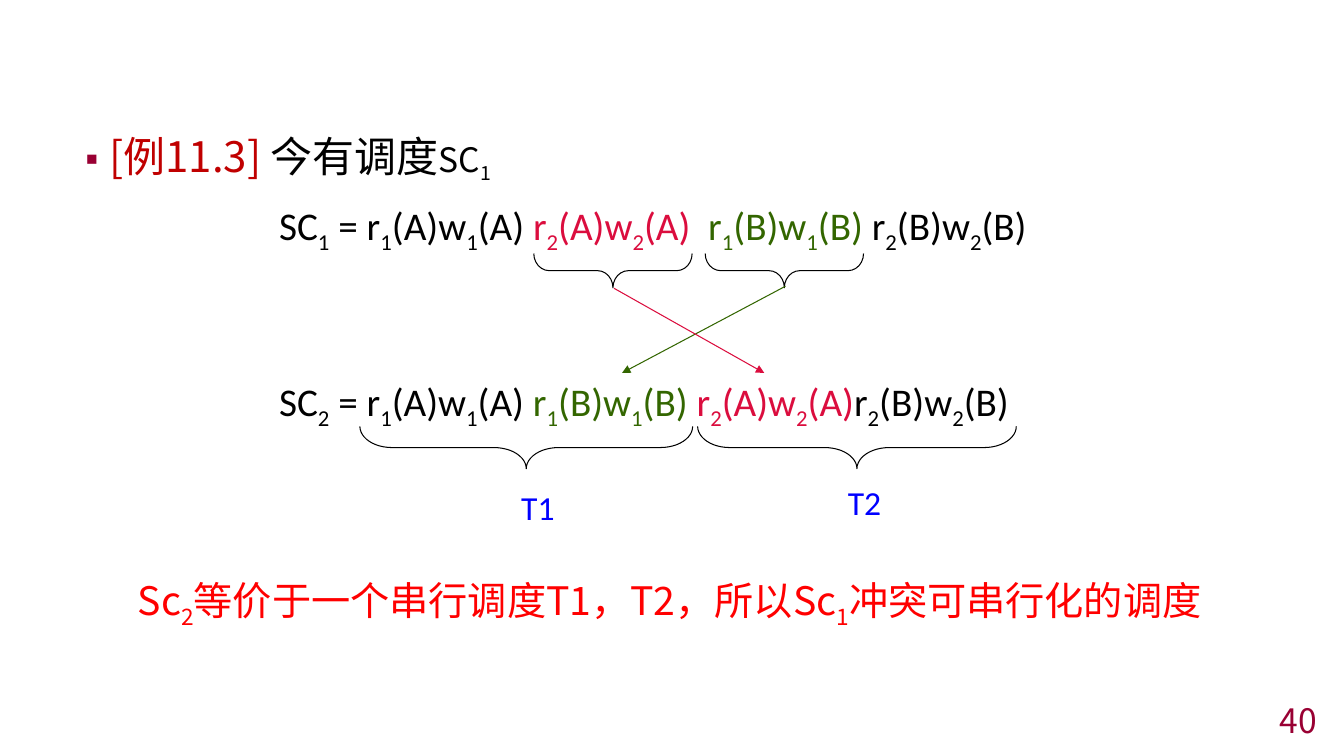
from lxml import etree
from pptx import Presentation
from pptx.dml.color import RGBColor
from pptx.enum.shapes import MSO_CONNECTOR, MSO_SHAPE
from pptx.enum.text import MSO_ANCHOR, PP_ALIGN
from pptx.oxml.ns import qn
from pptx.util import Inches, Pt

LINE = MSO_CONNECTOR.STRAIGHT
BRACE = MSO_SHAPE.LEFT_BRACE
LEFT, CENTER, RIGHT = PP_ALIGN.LEFT, PP_ALIGN.CENTER, PP_ALIGN.RIGHT
MIDDLE = MSO_ANCHOR.MIDDLE
LATIN, CJK = "Calibri", "Noto Sans CJK SC"
BLACK, PINK, GREEN = "000000", "DB0D3E", "336600"
BLUE, RED, WINE = "0000FF", "FF0000", "990033"


def color(code):
    return RGBColor.from_string(code)


def write(para, parts, face):
    """Add (text, size, colour) parts; the character after "_" is a subscript."""
    for text, size, code in parts:
        head, *rest = text.split("_")
        bits = [(head, False)]
        for bit in rest:
            bits += [(bit[0], True), (bit[1:], False)]
        for bit, low in bits:
            if not bit:
                continue
            run = para.add_run()
            run.text = bit
            run.font.size = Pt(size)
            run.font.color.rgb = color(code)
            run.font.name = face
            props = run.font._element
            etree.SubElement(props, qn("a:ea")).set("typeface", CJK)
            if low:
                props.set("baseline", "-25000")


deck = Presentation()
deck.slide_width, deck.slide_height = Inches(13.33), Inches(7.5)
slide = deck.slides.add_slide(deck.slide_layouts[1])
shapes = slide.shapes
title = shapes.title._element
title.getparent().remove(title)

# Heading bullet
body = slide.placeholders[1]
body.left, body.top = Inches(0.65), Inches(1.17)
body.width, body.height = Inches(12.04), Inches(5.98)
para = body.text_frame.paragraphs[0]
para.line_spacing = 1.14
para.space_before = Pt(0)
props = para._p.get_or_add_pPr()
props.set("marL", str(Inches(0.29)))
props.set("indent", str(-Inches(0.29)))
tint = etree.SubElement(props, qn("a:buClr"))
etree.SubElement(tint, qn("a:srgbClr")).set("val", WINE)
etree.SubElement(props, qn("a:buSzPct")).set("val", "80000")
etree.SubElement(props, qn("a:buFont")).set("typeface", CJK)
etree.SubElement(props, qn("a:buChar")).set("char", "▪")
write(para, [("[例11.3] ", 30, "C00000"), ("今有调度", 30, BLACK),
             ("SC_1", 24, BLACK)], CJK)

# Schedules, transaction labels, conclusion and page number
first = [("SC_1 = r_1(A)w_1(A) ", 28, BLACK), ("r_2(A)w_2(A)  ", 28, PINK),
         ("r_1(B)w_1(B) ", 28, GREEN), ("r_2(B)w_2(B)", 28, BLACK)]
second = [("SC_2 = r_1(A)w_1(A) ", 28, BLACK), ("r_1(B)w_1(B) ", 28, GREEN),
          ("r_2(A)w_2(A)", 28, PINK), ("r_2(B)w_2(B)", 28, BLACK)]
end = [("Sc_2等价于一个串行调度T1，T2，所以Sc_1冲突可串行化的调度", 28, RED)]
texts = [
    (2.67, 1.95, 7.79, 0.57, first, LATIN, LEFT, 1, False),
    (2.67, 3.7, 7.66, 0.53, second, LATIN, LEFT, 0.9, False),
    (4.5, 4.78, 1.67, 0.5, [("T1", 24, BLUE)], LATIN, CENTER, 1, True),
    (7.74, 4.73, 1.67, 0.5, [("T2", 24, BLUE)], LATIN, CENTER, 1, True),
    (1.27, 5.68, 10.8, 0.53, end, CJK, LEFT, 0.9, True),
    (10.33, 6.99, 2.83, 0.31, [("40", 24, WINE)], CJK, RIGHT, 1, True),
]
for x, y, w, h, parts, face, align, space, wrap in texts:
    box = shapes.add_textbox(Inches(x), Inches(y), Inches(w), Inches(h))
    frame = box.text_frame
    frame.word_wrap = wrap
    if align == RIGHT:
        frame.vertical_anchor = MIDDLE
    para = frame.paragraphs[0]
    para.alignment = align
    para.line_spacing = space
    write(para, parts, face)

# Braces under the schedules
for x, y, w, h, curve in [(5.91, 1.9, 0.34, 1.57, 0.45),
                          (7.61, 1.9, 0.34, 1.57, 0.45),
                          (5.01, 2.79, 0.42, 3.3, 0.76),
                          (8.29, 2.86, 0.42, 3.16, 0.76)]:
    brace = shapes.add_shape(BRACE, Inches(x), Inches(y), Inches(w), Inches(h))
    brace.rotation = 270
    brace.adjustments[0] = curve
    brace.adjustments[1] = 0.5
    brace.shadow.inherit = False
    brace.fill.background()
    brace.line.color.rgb = color(BLACK)
    brace.line.width = Pt(0.75)

# Crossing arrows: the swapped steps
for x1, y1, x2, y2, code in [(7.79, 2.84, 6.17, 3.7, GREEN),
                             (6.09, 2.86, 7.58, 3.7, PINK)]:
    arrow = shapes.add_connector(LINE, Inches(x1), Inches(y1),
                                 Inches(x2), Inches(y2))
    arrow.line.color.rgb = color(code)
    arrow.line.width = Pt(0.75)
    tip = etree.SubElement(arrow.line._get_or_add_ln(), qn("a:tailEnd"))
    tip.set("type", "triangle")
    etree.SubElement(arrow._element.spPr, qn("a:effectLst"))

deck.save("out.pptx")
